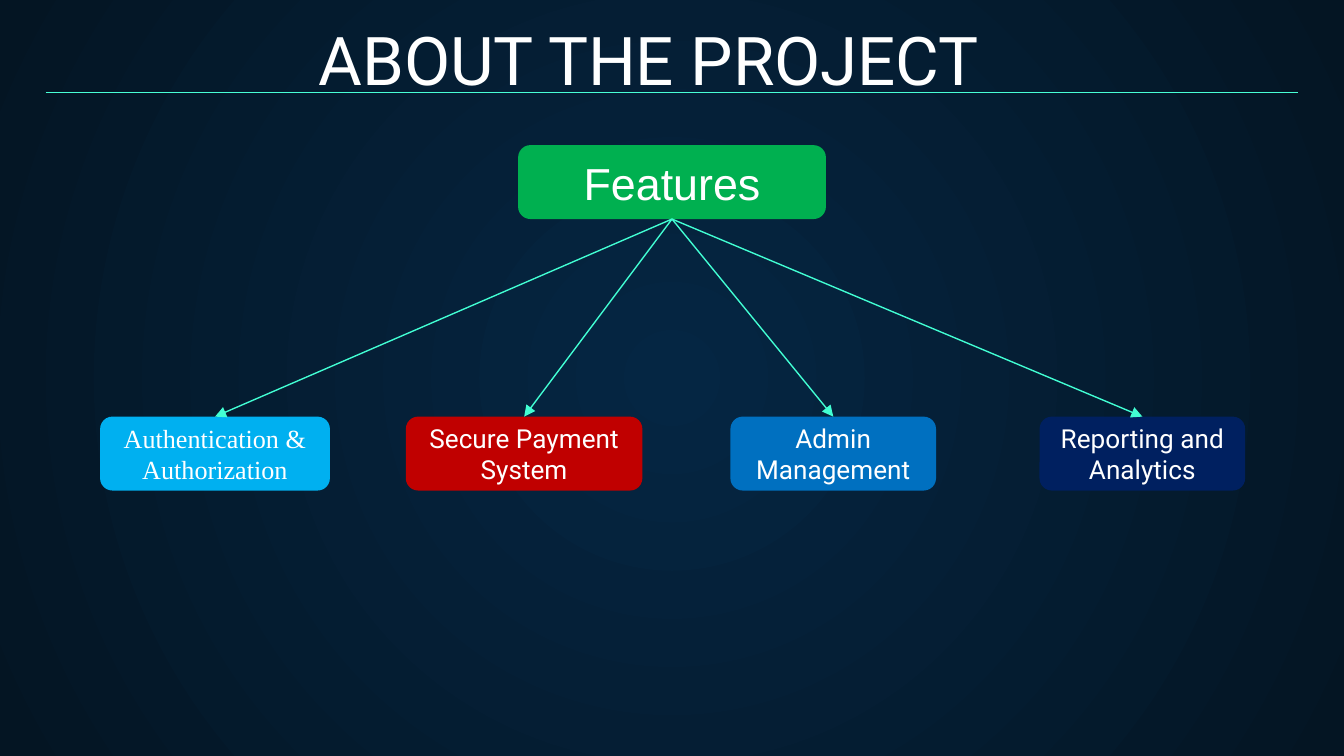
from dataclasses import dataclass

import lxml.etree
import pptx
import pptx.dml.color
import pptx.enum.dml
import pptx.enum.shapes
import pptx.enum.text
import pptx.oxml
import pptx.oxml.ns
import pptx.util
from pptx.util import Inches


@dataclass(frozen=True)
class Theme:
    background_center: str = "052643"
    background_edge: str = "041523"
    text: str = "FFFFFF"
    rule: str = "48FFD5"
    arrow: str = "42FED3"
    title_size: int = 36
    root_size: int = 24
    feature_size: int = 14
    line_width: float = 0.75
    font: str = "Roboto"


@dataclass(frozen=True)
class Box:
    text: str
    width: float
    fill: str
    font: str
    size: int


THEME = Theme()
SLIDE_WIDTH = 10
SLIDE_HEIGHT = SLIDE_WIDTH * 9 / 16
BOX_HEIGHT = 0.55
ROOT_TOP, FEATURE_TOP = 1.08, 3.1
FIRST_CENTER, CENTER_STEP = 1.6, 2.3
BOTTOM_SIDE, TOP_SIDE = 2, 0

ROOT = Box("Features", 2.29, "00B050", "Arial", THEME.root_size)
FEATURES = [
    Box("Authentication & Authorization", 1.71, "00B0F0", "Times New Roman", THEME.feature_size),
    Box("Secure Payment System", 1.76, "C00000", THEME.font, THEME.feature_size),
    Box("Admin Management", 1.53, "0070C0", THEME.font, THEME.feature_size),
    Box("Reporting and Analytics", 1.53, "002060", THEME.font, THEME.feature_size),
]


def rgb(value: str) -> pptx.dml.color.RGBColor:
    return pptx.dml.color.RGBColor.from_string(value)


def paint_background(slide) -> None:
    """Fill the slide with a circular gradient around its middle."""
    fill = slide.background.fill
    fill.gradient()
    colors = (THEME.background_center, THEME.background_edge)
    for position, (stop, color) in enumerate(zip(fill.gradient_stops, colors)):
        stop.position = position
        stop.color.rgb = rgb(color)
    linear = slide.background._cSld.find(".//" + pptx.oxml.ns.qn("a:lin"))
    circle = pptx.oxml.parse_xml(
        f'<a:path {pptx.oxml.ns.nsdecls("a")} path="circle">'
        '<a:fillToRect l="50000" t="50000" r="50000" b="50000"/></a:path>'
    )
    linear.getparent().replace(linear, circle)


def add_text(paragraph, text: str, font: str, size: int) -> None:
    run = paragraph.add_run()
    run.text = text
    run.font.name = font
    run.font.size = pptx.util.Pt(size)
    run.font.color.rgb = rgb(THEME.text)


def set_title(slide, text: str) -> None:
    title = slide.shapes.title
    title.left, title.top = Inches(2.27), Inches(0.18)
    title.width, title.height = Inches(5.46), Inches(0.66)
    frame = title.text_frame
    frame.word_wrap = True
    frame.auto_size = pptx.enum.text.MSO_AUTO_SIZE.NONE
    frame.vertical_anchor = pptx.enum.text.MSO_ANCHOR.BOTTOM
    frame.margin_left = frame.margin_right = Inches(0.1)
    frame.margin_top = frame.margin_bottom = Inches(0.1)
    paragraph = frame.paragraphs[0]
    paragraph.alignment = pptx.enum.text.PP_ALIGN.LEFT
    add_text(paragraph, text, THEME.font, THEME.title_size)


def add_box(slide, box: Box, center: float, top: float):
    shape = slide.shapes.add_shape(
        pptx.enum.shapes.MSO_SHAPE.ROUNDED_RECTANGLE,
        Inches(center - box.width / 2), Inches(top), Inches(box.width), Inches(BOX_HEIGHT),
    )
    shape.shadow.inherit = False
    shape.fill.solid()
    shape.fill.fore_color.rgb = rgb(box.fill)
    shape.line.fill.background()
    frame = shape.text_frame
    frame.word_wrap = True
    frame.vertical_anchor = pptx.enum.text.MSO_ANCHOR.MIDDLE
    paragraph = frame.paragraphs[0]
    paragraph.alignment = pptx.enum.text.PP_ALIGN.CENTER
    add_text(paragraph, box.text, box.font, box.size)
    return shape


def add_line(slide, start: tuple[float, float], end: tuple[float, float], color: str):
    line = slide.shapes.add_connector(
        pptx.enum.shapes.MSO_CONNECTOR.STRAIGHT,
        *(Inches(value) for value in (*start, *end)),
    )
    line.line.color.rgb = rgb(color)
    line.line.width = pptx.util.Pt(THEME.line_width)
    lxml.etree.SubElement(line._element.spPr, pptx.oxml.ns.qn("a:effectLst"))
    return line


def add_arrow(slide, parent, child, start: tuple[float, float], end: tuple[float, float]) -> None:
    arrow = add_line(slide, start, end, THEME.arrow)
    arrow.begin_connect(parent, BOTTOM_SIDE)
    arrow.end_connect(child, TOP_SIDE)
    outline = arrow.line._get_or_add_ln()
    lxml.etree.SubElement(outline, pptx.oxml.ns.qn("a:tailEnd"), type="triangle")


def main() -> None:
    presentation = pptx.Presentation()
    presentation.slide_width = Inches(SLIDE_WIDTH)
    presentation.slide_height = Inches(SLIDE_HEIGHT)
    title_only = presentation.slide_layouts[5]
    slide = presentation.slides.add_slide(title_only)
    paint_background(slide)

    # Title and the rule under it
    set_title(slide, "ABOUT THE PROJECT")
    add_line(slide, (0.34, 0.69), (9.66, 0.69), THEME.rule)

    # Root box and the row of features
    root_center = SLIDE_WIDTH / 2
    root = add_box(slide, ROOT, root_center, ROOT_TOP)
    centers = [FIRST_CENTER + CENTER_STEP * index for index in range(len(FEATURES))]
    children = [
        add_box(slide, feature, center, FEATURE_TOP)
        for feature, center in zip(FEATURES, centers)
    ]

    # Arrows from the root to each feature
    for child, center in zip(children, centers):
        add_arrow(slide, root, child, (root_center, ROOT_TOP + BOX_HEIGHT), (center, FEATURE_TOP))

    presentation.save("out.pptx")


if __name__ == "__main__":
    main()
